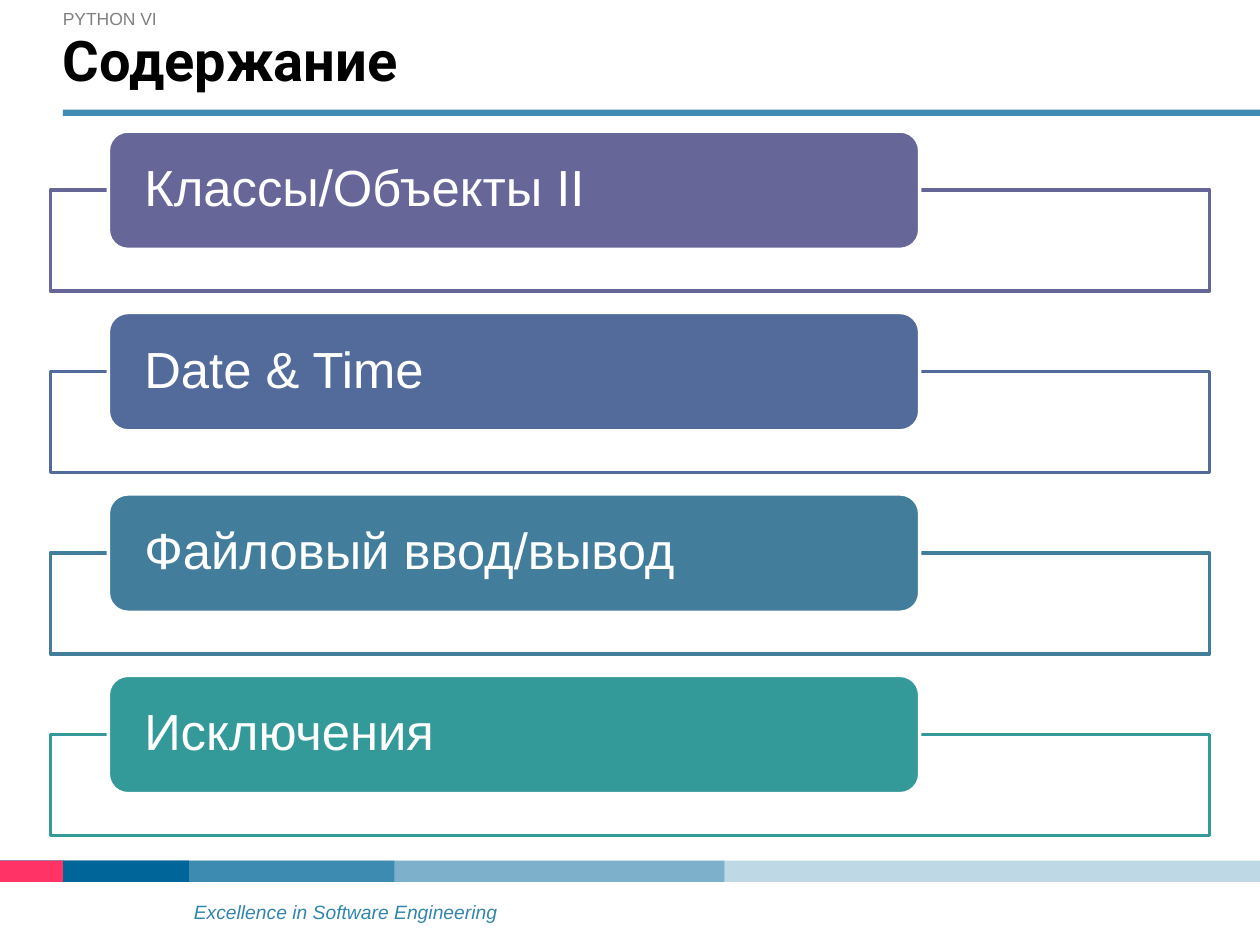
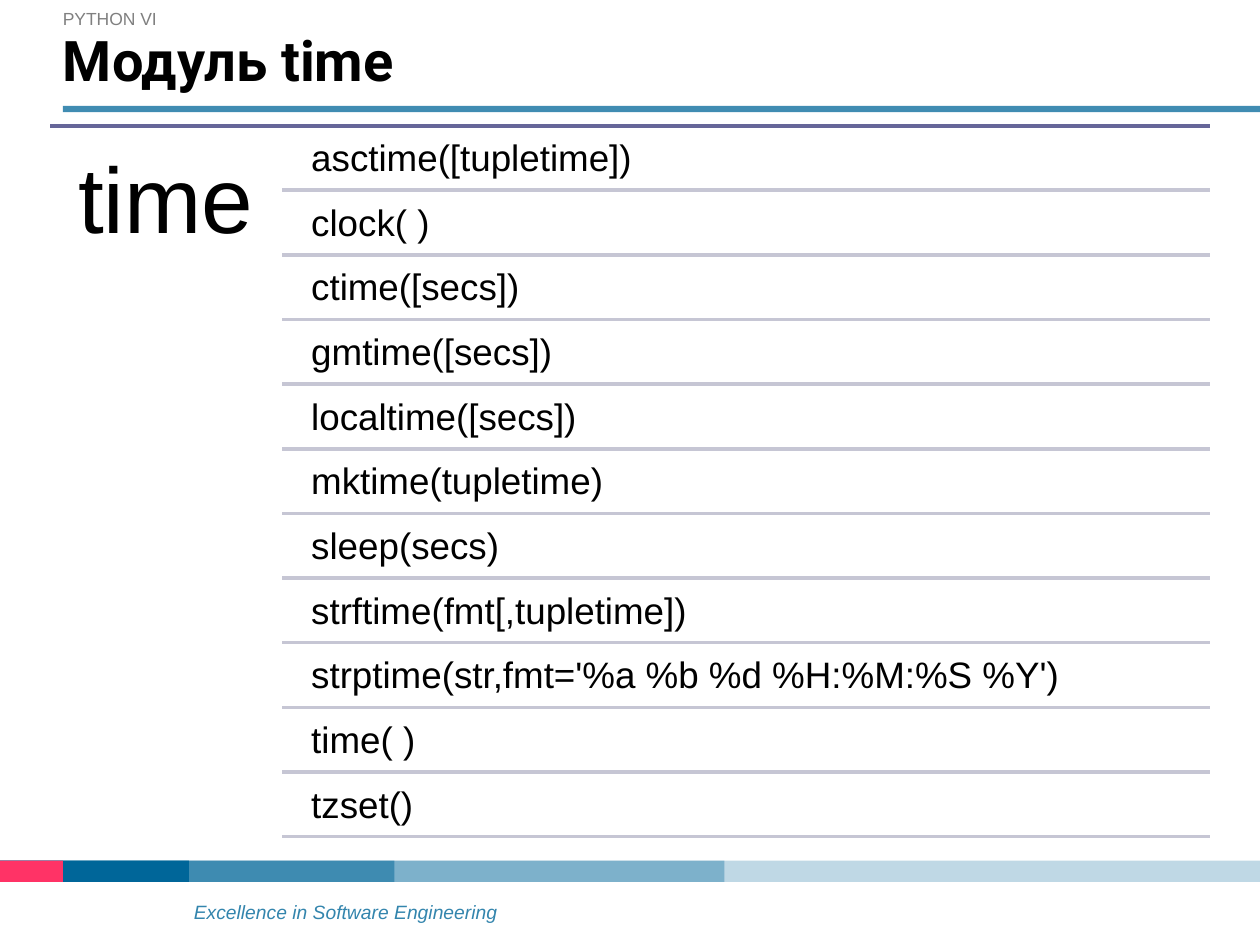
import pptx
import pptx.util
import pptx.dml.color
import pptx.enum.shapes
import pptx.enum.text
import pptx.oxml
import pptx.oxml.ns
from dataclasses import dataclass

Inches, Pt = pptx.util.Inches, pptx.util.Pt
RGB = pptx.dml.color.RGBColor.from_string
SHAPE = pptx.enum.shapes.MSO_SHAPE
ANCHOR = pptx.enum.text.MSO_ANCHOR

# Content
SECTION = "PYTHON VI"
FOOTER = "Excellence in Software Engineering"
AGENDA_TITLE = "Содержание"
AGENDA = [
    ("Классы/Объекты II", "666699"),
    ("Date & Time", "536B9B"),
    ("Файловый ввод/вывод", "427D9B"),
    ("Исключения", "339999"),
]
MODULE_TITLE = "Модуль time"
MODULE = "time"
FUNCTIONS = [
    "asctime([tupletime])", "clock( )", "ctime([secs])", "gmtime([secs])",
    "localtime([secs])", "mktime(tupletime)", "sleep(secs)",
    "strftime(fmt[,tupletime])", "strptime(str,fmt='%a %b %d %H:%M:%S %Y')",
    "time( )", "tzset()",
]


@dataclass(frozen=True)
class Theme:
    font: str = "Arial"
    title_font: str = "Roboto"
    blue: str = "006699"
    red: str = "FF3366"
    violet: str = "666699"
    pale: str = "C6C6D4"
    grey: str = "808080"
    footer: str = "3385AD"
    black: str = "000000"
    white: str = "FFFFFF"
    title_size: int = 32
    section_size: int = 10
    footer_size: int = 11
    agenda_size: int = 29
    module_size: int = 53
    function_size: int = 21
    line: int = 2


T = Theme()
# Footer band: right edge, colour, opacity in percent; each lies over the last
BAND = [(10, T.blue, 25), (5.75, T.blue, 34), (3.13, T.blue, 50),
        (1.5, T.blue, 100), (0.5, T.red, 100)]


def write(sp, text, size, color=T.black, font=T.font, bold=False, italic=False,
          anchor=ANCHOR.TOP, insets=(0.1, 0.05, 0.1, 0.05), spacing=0.9):
    tf = sp.text_frame
    tf.word_wrap = True
    tf.vertical_anchor = anchor
    tf.margin_left, tf.margin_top, tf.margin_right, tf.margin_bottom = map(Inches, insets)
    p = tf.paragraphs[0]
    p.alignment = pptx.enum.text.PP_ALIGN.LEFT
    p.line_spacing = spacing
    r = p.add_run()
    r.text = text
    r.font.size, r.font.name = Pt(size), font
    r.font.bold, r.font.italic = bold, italic
    r.font.color.rgb = RGB(color)


def add_text(s, box, text, size, **style):
    write(s.shapes.add_textbox(*map(Inches, box)), text, size, **style)


def add_box(s, box, fill, opacity=100, line=None, kind=SHAPE.RECTANGLE):
    sp = s.shapes.add_shape(kind, *map(Inches, box))
    sp.shadow.inherit = False
    sp.fill.solid()
    sp.fill.fore_color.rgb = RGB(fill)
    if opacity < 100:
        color = sp.fill._xPr.find(".//" + pptx.oxml.ns.qn("a:srgbClr"))
        alpha = color.makeelement(pptx.oxml.ns.qn("a:alpha"), {"val": str(opacity * 1000)})
        color.append(alpha)
    if line:
        sp.line.color.rgb = RGB(line)
        sp.line.width = Pt(T.line)
    else:
        sp.line.fill.background()
    return sp


def add_rule(s, left, right, y, color):
    c = s.shapes.add_connector(pptx.enum.shapes.MSO_CONNECTOR.STRAIGHT,
                               Inches(left), Inches(y), Inches(right), Inches(y))
    c.line.color.rgb = RGB(color)
    c.line.width = Pt(T.line)
    sp_pr = c._element.spPr
    sp_pr.append(sp_pr.makeelement(pptx.oxml.ns.qn("a:effectLst"), {}))


def add_slide(title, title_height):
    s = prs.slides.add_slide(prs.slide_layouts[6])
    # Footer and band
    add_text(s, (1.44, 7.18, 2.86, 0.15), FOOTER, T.footer_size, color=T.footer,
             italic=True, insets=(0.1, 0, 0.1, 0), spacing=0.8)
    for right, color, opacity in BAND:
        add_box(s, (0, 6.83, right, 0.17), color, opacity)
    # Section name, title and its underline
    add_text(s, (0.4, 0, 9.58, 0.3), SECTION, T.section_size, color=T.grey,
             anchor=ANCHOR.MIDDLE, spacing=1.0)
    add_text(s, (0.5, 0.3, 9.5, title_height), title, T.title_size, bold=True,
             font=T.title_font, insets=(0, 0.05, 0.1, 0.15), spacing=Pt(28))
    add_box(s, (0.5, 0.3 + title_height - 0.05, 9.5, 0.05), T.blue, 75)
    return s


prs = pptx.Presentation()
prs.slide_width, prs.slide_height = Inches(10), Inches(7.5)

# Agenda: a label over the top edge of each frame
s = add_slide(AGENDA_TITLE, 0.62)
for i, (topic, color) in enumerate(AGENDA):
    top = 1.04 + 1.44 * i
    add_box(s, (0.4, top + 0.47, 9.2, 0.8), T.white, 90, line=color)
    label = add_box(s, (0.86, top, 6.44, 0.94), color, line=T.white,
                    kind=SHAPE.ROUNDED_RECTANGLE)
    write(label, topic, T.agenda_size, color=T.white, anchor=ANCHOR.MIDDLE,
          insets=(0.24, 0, 0.24, 0))

# Module: its name on the left, a ruled list of functions on the right
s = add_slide(MODULE_TITLE, 0.59)
add_rule(s, 0.4, 9.6, 1, T.violet)
add_text(s, (0.4, 1, 1.84, 5.67), MODULE, T.module_size, insets=(0.22,) * 4)
first_rule, last_rule = 1.51, 6.64
pitch = (last_rule - first_rule) / (len(FUNCTIONS) - 1)
for i, name in enumerate(FUNCTIONS):
    y = first_rule + pitch * i
    add_text(s, (2.38, y - 0.49, 7.22, 0.49), name, T.function_size, insets=(0.09,) * 4)
    add_rule(s, 2.24, 9.6, y, T.pale)

prs.save("out.pptx")
